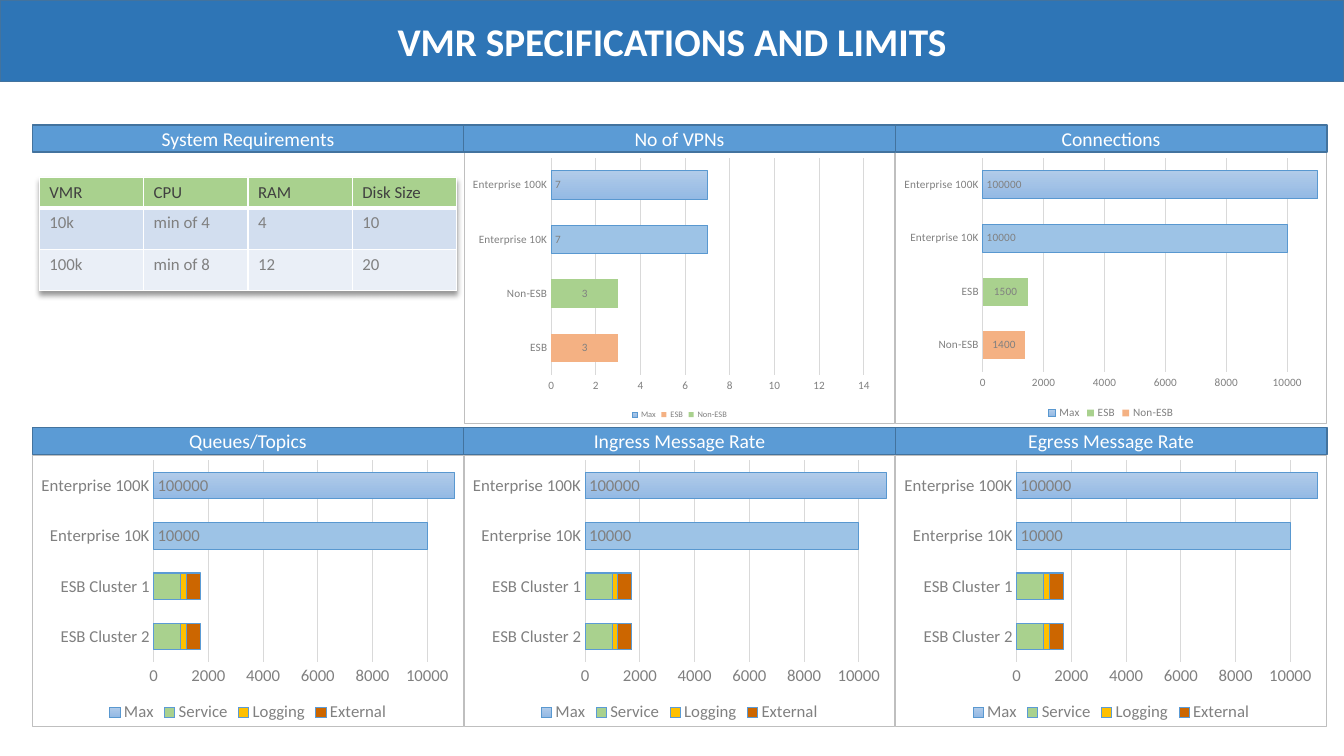
from dataclasses import dataclass

from lxml import etree
from pptx import Presentation
from pptx.chart.data import CategoryChartData
from pptx.dml.color import RGBColor
from pptx.enum.chart import XL_CHART_TYPE, XL_LABEL_POSITION, XL_LEGEND_POSITION, XL_TICK_MARK
from pptx.enum.shapes import MSO_SHAPE
from pptx.enum.text import MSO_ANCHOR, PP_ALIGN
from pptx.oxml import parse_xml
from pptx.oxml.ns import nsdecls, qn
from pptx.util import Inches, Pt


@dataclass(frozen=True)
class Theme:
    """Colours, font and type sizes of the slide."""
    font: str = "Calibri"
    white: str = "FFFFFF"
    banner: str = "2E75B6"
    header: str = "5B9BD5"
    edge: str = "43739E"
    grey: str = "808080"
    dark: str = "404040"
    grid: str = "D9D9D9"
    border: str = "BFBFBF"
    max_top: str = "B1CBE9"
    max_bottom: str = "93B9E4"
    max_flat: str = "9DC3E6"
    max_line: str = "5998D0"
    green: str = "A9D18E"
    orange: str = "F4B183"
    amber: str = "FFC000"
    rust: str = "CC6600"
    bands: tuple = ("D2DEEF", "EAEFF7")
    title_size: int = 28
    header_size: int = 14
    body_size: int = 12
    small_size: int = 8
    tiny_size: int = 6


T = Theme()
SLIDE_W, SLIDE_H = 13.33, 7.5
LEFT, TOP, COL_W, ROW_H = 0.32, 1.24, 4.28, 3.0
HEADER_H, BODY_H = 0.27, 2.7
ENTERPRISE = ["Enterprise 10K", "Enterprise 100K"]
CLUSTERS = ["ESB Cluster 2", "ESB Cluster 1"]
RATE_SERIES = [
    ("Service", [1000, 1000], T.green, T.header),
    ("Logging", [200, 200], T.amber, T.header),
    ("External", [500, 500], T.rust, T.header),
]
REQUIREMENTS = [
    ["VMR", "CPU", "RAM", "Disk Size"],
    ["10k", "min of 4", "4", "10"],
    ["100k", "min of 8", "12", "20"],
]


def rgb(value):
    """Turn a hex string into a colour."""
    return RGBColor.from_string(value)


def style_font(font, size, color=T.grey, bold=False):
    """Apply the theme font with a size and colour."""
    font.name, font.size, font.bold = T.font, Pt(size), bold
    font.color.rgb = rgb(color)


def style_line(line, color, width=0.75):
    """Give a line a colour and a width."""
    line.color.rgb = rgb(color)
    line.width = Pt(width)


def paint(fill, color):
    """Fill with one solid colour."""
    fill.solid()
    fill.fore_color.rgb = rgb(color)


def write(tf, text, *, size, color, bold=False, align=PP_ALIGN.LEFT):
    """Put one formatted run of text in a text frame."""
    p = tf.paragraphs[0]
    p.alignment = align
    r = p.add_run()
    r.text = text
    style_font(r.font, size, color, bold)


def add_bar(s, box, text, fill, size, bold=False):
    """Draw a filled heading bar with centred text."""
    sp = s.shapes.add_shape(MSO_SHAPE.RECTANGLE, *map(Inches, box))
    sp.shadow.inherit = False
    paint(sp.fill, fill)
    style_line(sp.line, T.edge, 1)
    sp.text_frame.vertical_anchor = MSO_ANCHOR.MIDDLE
    write(sp.text_frame, text, size=size, color=T.white, bold=bold, align=PP_ALIGN.CENTER)


def add_border(chart):
    """Frame the chart area with a thin line."""
    chart.element.find(qn("c:chart")).addnext(parse_xml(
        f'<c:spPr {nsdecls("c", "a")}><a:noFill/><a:ln w="{Pt(0.75)}">'
        f'<a:solidFill><a:srgbClr val="{T.border}"/></a:solidFill></a:ln></c:spPr>'))


def style_axes(chart, size, top, step):
    """Format both axes and the gridlines."""
    cat, val = chart.category_axis, chart.value_axis
    for axis in (cat, val):
        axis.major_tick_mark = axis.minor_tick_mark = XL_TICK_MARK.NONE
        style_font(axis.tick_labels.font, size)
    cat.has_major_gridlines = False
    style_line(cat.format.line, T.grid)
    val.format.line.fill.background()
    val.minimum_scale, val.maximum_scale, val.major_unit = 0, top, step
    val.has_major_gridlines = True
    style_line(val.major_gridlines.format.line, T.grid)


def add_labels(series, size, position):
    """Show the values of a series."""
    labels = series.data_labels
    labels.show_value = True
    labels.position = position
    style_font(labels.font, size)


def style_max(series, size):
    """Format the bars that show the limits."""
    fill = series.format.fill
    fill.gradient()
    fill.gradient_angle = 270
    for stop, color in zip(fill.gradient_stops, (T.max_top, T.max_bottom)):
        stop.color.rgb = rgb(color)
    style_line(series.format.line, T.max_line)
    point = series.points[2].format
    paint(point.fill, T.max_flat)
    style_line(point.line, T.max_line)
    add_labels(series, size, XL_LABEL_POSITION.INSIDE_BASE)


def add_limits_chart(s, box, names, usage, limits=(10000, 100000), top=11000, step=2000,
                     size=T.body_size, legend_size=None, labelled=False):
    """Draw stacked bars of usage against the limits."""
    data = CategoryChartData()
    data.categories = names + ENTERPRISE
    data.add_series("Max", [None, None, *limits])
    for name, values, *_ in usage:
        data.add_series(name, values + [None, None])
    chart = s.shapes.add_chart(XL_CHART_TYPE.BAR_STACKED, *map(Inches, box), data).chart
    chart.has_title = False
    style_font(chart.font, 10, "000000")
    add_border(chart)
    style_axes(chart, size, top, step)
    chart.has_legend = True
    chart.legend.position = XL_LEGEND_POSITION.BOTTOM
    chart.legend.include_in_layout = False
    style_font(chart.legend.font, legend_size or size)
    plot = chart.plots[0]
    plot.vary_by_categories = False
    plot.gap_width, plot.overlap = 90, 100
    limit, *used = plot.series
    style_max(limit, size)
    for series, (_, _, color, line) in zip(used, usage):
        paint(series.format.fill, color)
        if line:
            style_line(series.format.line, line)
        if labelled:
            add_labels(series, size, XL_LABEL_POSITION.CENTER)


def add_cell_borders(cell, bottom):
    """Draw white borders around a table cell."""
    tc_pr = cell._tc.get_or_add_tcPr()
    for side, width in (("L", 1), ("R", 1), ("T", 1), ("B", bottom)):
        ln = etree.SubElement(tc_pr, qn(f"a:ln{side}"), w=str(Pt(width)))
        fill = etree.SubElement(ln, qn("a:solidFill"))
        etree.SubElement(fill, qn("a:srgbClr"), val=T.white)


def add_requirements(s, box):
    """Draw the table of system requirements inside its panel."""
    x, y, w, _ = box
    heights = (0.3, 0.41, 0.41)
    frame = s.shapes.add_table(3, 4, Inches(x + 0.07), Inches(y + 0.25),
                               Inches(w - 0.14), Inches(sum(heights)))
    table = frame.table
    table._tbl.tblPr.insert(0, parse_xml(
        f'<a:effectLst {nsdecls("a")}><a:outerShdw blurRad="50800" dist="38100" dir="5400000">'
        '<a:srgbClr val="000000"><a:alpha val="40000"/></a:srgbClr></a:outerShdw></a:effectLst>'))
    for i, (row, height) in enumerate(zip(REQUIREMENTS, heights)):
        table.rows[i].height = Inches(height)
        for j, text in enumerate(row):
            cell = table.cell(i, j)
            add_cell_borders(cell, 1 if i else 3)
            paint(cell.fill, T.bands[i - 1] if i else T.green)
            write(cell.text_frame, text, size=T.body_size, color=T.grey if i else T.dark)


def add_panel(s, col, row, heading, draw, **options):
    """Place a heading bar and its content in one cell of the grid."""
    x, y = LEFT + col * COL_W, TOP + row * ROW_H
    draw(s, (x, y + HEADER_H, COL_W, BODY_H), **options)
    add_bar(s, (x, y, COL_W, HEADER_H), heading, T.header, T.header_size)


def build_slide(prs):
    """Build the slide of specifications and limits."""
    s = prs.slides.add_slide(prs.slide_layouts[6])
    add_bar(s, (0, 0, SLIDE_W, 0.81), "VMR SPECIFICATIONS AND LIMITS", T.banner, T.title_size, True)
    add_panel(s, 0, 0, "System Requirements", add_requirements)
    add_panel(s, 1, 0, "No of VPNs", add_limits_chart, names=["ESB", "Non-ESB"],
              usage=[("ESB", [3, None], T.orange, None), ("Non-ESB", [None, 3], T.green, None)],
              limits=(7, 7), top=15, step=2, size=T.small_size, legend_size=T.tiny_size, labelled=True)
    add_panel(s, 2, 0, "Connections", add_limits_chart, names=["Non-ESB", "ESB"],
              usage=[("ESB", [None, 1500], T.green, None), ("Non-ESB", [1400, None], T.orange, None)],
              size=T.small_size, labelled=True)
    for col, heading in enumerate(("Queues/Topics", "Ingress Message Rate", "Egress Message Rate")):
        add_panel(s, col, 1, heading, add_limits_chart, names=CLUSTERS, usage=RATE_SERIES)


def main():
    """Create and save the presentation."""
    prs = Presentation()
    prs.slide_width, prs.slide_height = Inches(SLIDE_W), Inches(SLIDE_H)
    build_slide(prs)
    prs.save("out.pptx")


if __name__ == "__main__":
    main()
